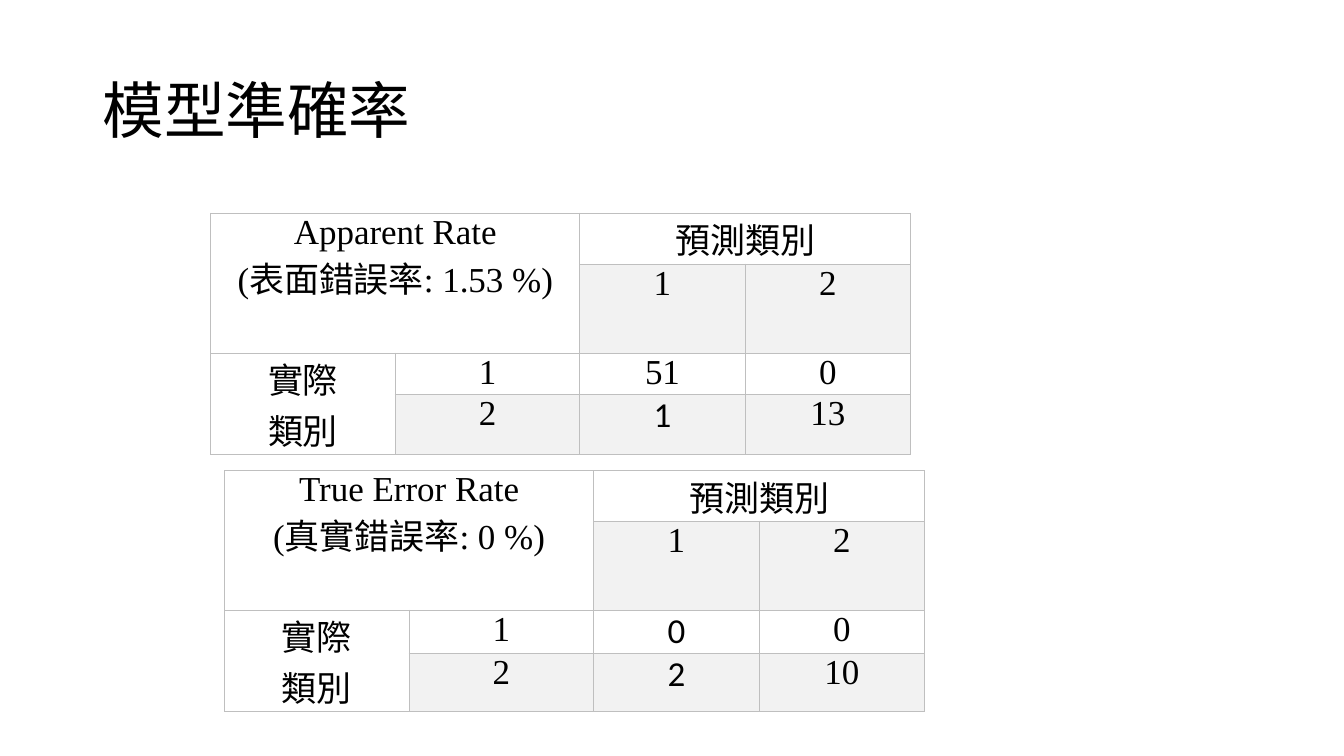
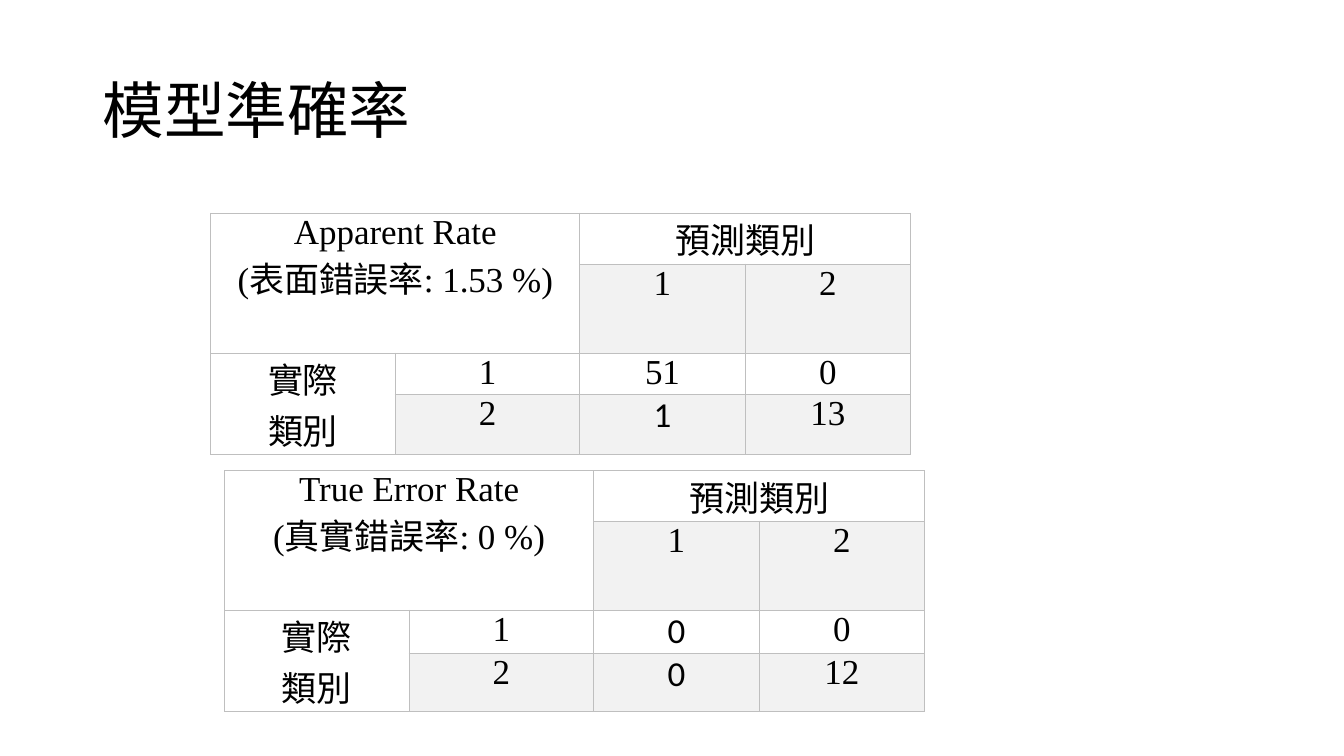
"""Build two slides of confusion matrices with apparent and true error rates."""
from dataclasses import dataclass

import lxml.etree
import pptx
import pptx.dml.color
import pptx.enum.text
import pptx.oxml.ns
import pptx.presentation
import pptx.slide
import pptx.table
import pptx.util

Cm = pptx.util.Cm
Pt = pptx.util.Pt
RGBColor = pptx.dml.color.RGBColor


@dataclass(frozen=True)
class Theme:
    """Colours, fonts and sizes shared by the slides."""

    text: RGBColor = RGBColor(0, 0, 0)
    shade: RGBColor = RGBColor(0xF2, 0xF2, 0xF2)
    border: RGBColor = RGBColor(0xBF, 0xBF, 0xBF)
    title_font: str = "Calibri"
    table_font: str = "Times New Roman"
    title_size: pptx.util.Length = Pt(44)
    table_size: pptx.util.Length = Pt(25)
    border_width: pptx.util.Length = Pt(1)
    cell_margin: pptx.util.Length = Cm(0.41)


@dataclass(frozen=True)
class ErrorTable:
    """A two-class confusion matrix and its place on the slide."""

    left: float
    top: float
    heading: str
    counts: tuple[tuple[int, int], tuple[int, int]]
    calibri_cells: tuple[tuple[int, int], ...]


THEME = Theme()
TITLE = "模型準確率"
COLUMN_WIDTHS = (4.65, 4.65, 4.17, 4.17)
ROW_HEIGHT = 1.04
MERGES = (((0, 0), (1, 1)), ((0, 2), (0, 3)), ((2, 0), (3, 0)))

APPARENT = ErrorTable(
    5.31, 5.38, "Apparent Rate\n(表面錯誤率: 1.53 %)", ((51, 0), (1, 13)), ((3, 2),)
)


def true_error(second_row: tuple[int, int]) -> ErrorTable:
    """Return the true error table, whose second class varies by slide."""
    return ErrorTable(
        5.66,
        11.86,
        "True Error Rate\n(真實錯誤率: 0 %)",
        ((0, 0), second_row),
        ((2, 2), (3, 2)),
    )


SLIDES = ((APPARENT, true_error((2, 10))), (APPARENT, true_error((0, 12))))


def add_border(cell: pptx.table._Cell) -> None:
    """Draw a thin line on all four sides of a cell."""
    properties = cell._tc.get_or_add_tcPr()
    qualify = pptx.oxml.ns.qn
    for side in ("a:lnL", "a:lnR", "a:lnT", "a:lnB"):
        line = lxml.etree.SubElement(
            properties, qualify(side), w=str(int(THEME.border_width))
        )
        fill = lxml.etree.SubElement(line, qualify("a:solidFill"))
        lxml.etree.SubElement(fill, qualify("a:srgbClr"), val=str(THEME.border))


def format_cell(cell: pptx.table._Cell, text: str, font: str, shaded: bool) -> None:
    """Write and style one table cell."""
    cell.margin_left = cell.margin_right = THEME.cell_margin
    cell.margin_top = cell.margin_bottom = 0
    add_border(cell)
    if shaded:
        cell.fill.solid()
        cell.fill.fore_color.rgb = THEME.shade
    else:
        cell.fill.background()
    cell.text = text
    for paragraph in cell.text_frame.paragraphs:
        paragraph.alignment = pptx.enum.text.PP_ALIGN.CENTER
        paragraph.font.name = font
        paragraph.font.size = THEME.table_size
        paragraph.font.color.rgb = THEME.text


def add_error_table(slide: pptx.slide.Slide, matrix: ErrorTable) -> None:
    """Add one confusion matrix with merged headings."""
    (first, second) = matrix.counts
    rows = (
        (matrix.heading, "", "預測類別", ""),
        ("", "", "1", "2"),
        ("實際\n類別", "1", *map(str, first)),
        ("", "2", *map(str, second)),
    )
    table = slide.shapes.add_table(
        len(rows),
        len(COLUMN_WIDTHS),
        Cm(matrix.left),
        Cm(matrix.top),
        Cm(sum(COLUMN_WIDTHS)),
        Cm(ROW_HEIGHT * len(rows)),
    ).table
    table.first_row = table.horz_banding = False
    for column, width in zip(table.columns, COLUMN_WIDTHS):
        column.width = Cm(width)
    for row in table.rows:
        row.height = Cm(ROW_HEIGHT)
    for start, end in MERGES:
        table.cell(*start).merge(table.cell(*end))
    for row_index, texts in enumerate(rows):
        for column_index, text in enumerate(texts):
            cell = table.cell(row_index, column_index)
            in_calibri = (row_index, column_index) in matrix.calibri_cells
            font = THEME.title_font if in_calibri else THEME.table_font
            shaded = row_index % 2 == 1 and not cell.is_spanned
            format_cell(cell, text, font, shaded)


def set_title(slide: pptx.slide.Slide) -> None:
    """Place and style the slide title."""
    title = slide.shapes.title
    title.left, title.top = Cm(2.33), Cm(1.01)
    title.width, title.height = Cm(29.21), Cm(3.68)
    title.text_frame.text = TITLE
    title.text_frame.vertical_anchor = pptx.enum.text.MSO_ANCHOR.MIDDLE
    paragraph = title.text_frame.paragraphs[0]
    paragraph.alignment = pptx.enum.text.PP_ALIGN.LEFT
    paragraph.line_spacing = 0.9
    paragraph.font.name = THEME.title_font
    paragraph.font.size = THEME.title_size
    paragraph.font.color.rgb = THEME.text


def add_accuracy_slide(
    presentation: pptx.presentation.Presentation, matrices: tuple[ErrorTable, ...]
) -> None:
    """Add a titled slide holding the given matrices."""
    slide = presentation.slides.add_slide(
        presentation.slide_layouts.get_by_name("Title Only")
    )
    set_title(slide)
    for matrix in matrices:
        add_error_table(slide, matrix)


def main() -> None:
    """Build and save the presentation."""
    presentation = pptx.Presentation()
    presentation.slide_width = Cm(33.87)
    presentation.slide_height = Cm(19.05)
    for matrices in SLIDES:
        add_accuracy_slide(presentation, matrices)
    presentation.save("out.pptx")


main()
